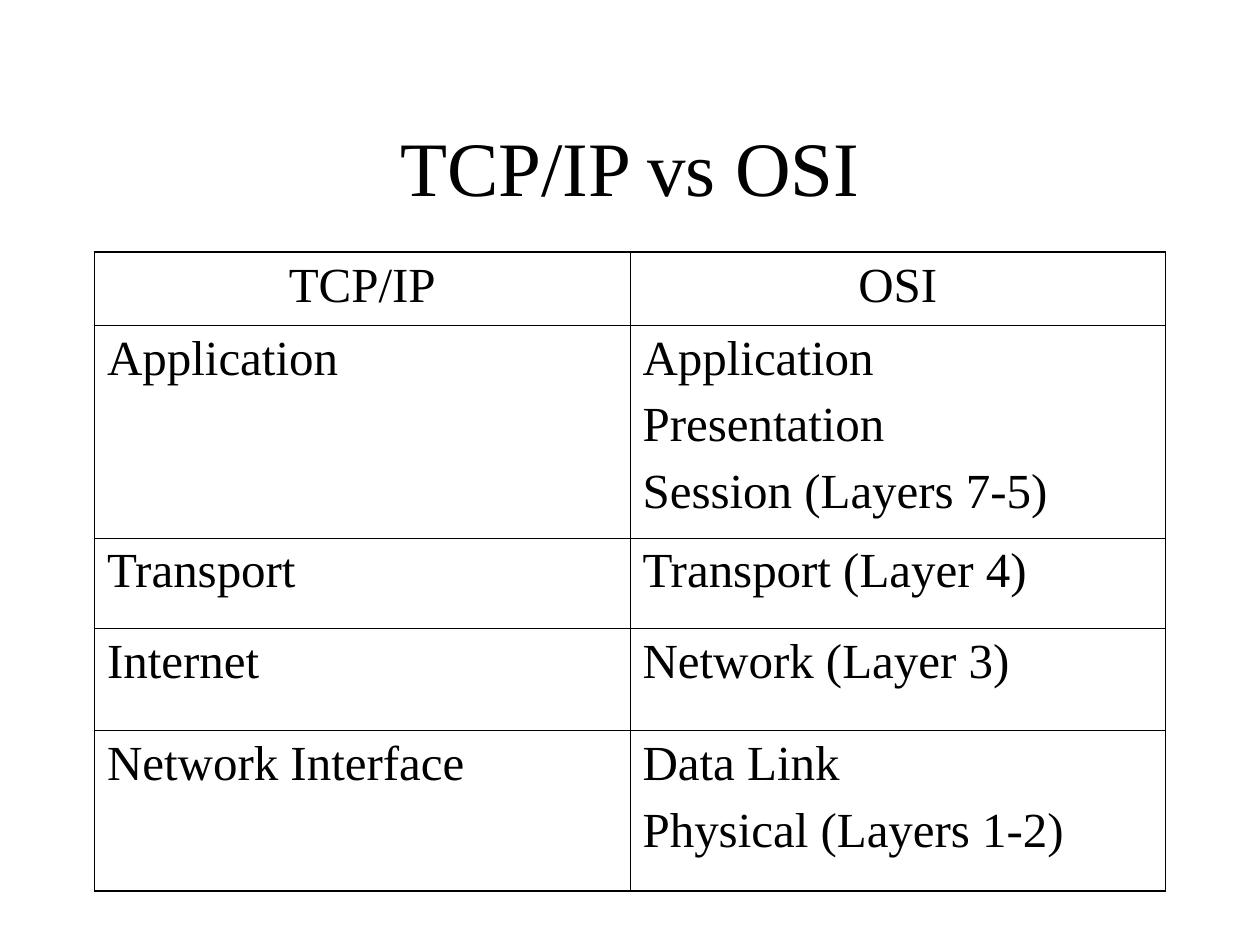
"""Build a slide that sets the TCP/IP layers beside the OSI layers."""
import dataclasses

import pptx
import pptx.dml.color
import pptx.enum.text
import pptx.oxml
import pptx.oxml.ns
import pptx.util

COLOURS = {"ink": "000000", "paper": "FFFFFF"}
SLIDE_WIDTH = pptx.util.Inches(10)
SLIDE_HEIGHT = pptx.util.Inches(7.5)
MARGIN = 0.075
TITLE_TOP, TITLE_HEIGHT = 0.09, 0.17
TABLE_TOP = 2 / 7.5
OUTER_LINE, INNER_LINE = pptx.util.Pt(1.08), pptx.util.Pt(0.45)
ALIGN = pptx.enum.text.PP_ALIGN
ANCHOR = pptx.enum.text.MSO_ANCHOR


@dataclasses.dataclass(frozen=True)
class LayerRow:
    height: float
    tcp_ip: str
    osi: str
    align: ALIGN = ALIGN.LEFT


ROWS = [
    LayerRow(0.58, "TCP/IP", "OSI", ALIGN.CENTER),
    LayerRow(1.69, "Application", "Application\nPresentation\nSession (Layers 7-5)"),
    LayerRow(0.72, "Transport", "Transport (Layer 4)"),
    LayerRow(0.81, "Internet", "Network (Layer 3)"),
    LayerRow(1.27, "Network Interface", "Data Link\nPhysical (Layers 1-2)"),
]


def write_text(frame, text: str, size: float, align: ALIGN, space: float = 0) -> None:
    frame.text = text
    for para in frame.paragraphs:
        for name, value in {"alignment": align, "space_before": pptx.util.Pt(space)}.items():
            setattr(para, name, value)
        for span in para.runs:
            font_format = {"name": "Times New Roman", "size": pptx.util.Pt(size)}
            for name, value in font_format.items():
                setattr(span.font, name, value)
            span.font.color.rgb = pptx.dml.color.RGBColor.from_string(COLOURS["ink"])


def draw_borders(cell, row: int, column: int) -> None:
    outer_sides = {"L": column == 0, "R": column == 1, "T": row == 0, "B": row == len(ROWS) - 1}
    for side, is_outer in outer_sides.items():
        width = OUTER_LINE if is_outer else INNER_LINE
        cell._tc.get_or_add_tcPr().append(pptx.oxml.parse_xml(
            f'<a:ln{side} {pptx.oxml.ns.nsdecls("a")} w="{int(width)}"><a:solidFill>'
            f'<a:srgbClr val="{COLOURS["ink"]}"/></a:solidFill></a:ln{side}>'))


def draw_title(page, text: str) -> None:
    title = page.shapes.title
    place = {
        "left": int(SLIDE_WIDTH * MARGIN),
        "top": int(SLIDE_HEIGHT * TITLE_TOP),
        "width": int(SLIDE_WIDTH * (1 - 2 * MARGIN)),
        "height": int(SLIDE_HEIGHT * TITLE_HEIGHT),
    }
    for name, value in place.items():
        setattr(title, name, value)
    title.text_frame.vertical_anchor = ANCHOR.MIDDLE
    write_text(title.text_frame, text, 44, ALIGN.CENTER)


def draw_table(page, rows: list[LayerRow]) -> None:
    height = pptx.util.Inches(sum(row.height for row in rows))
    table = page.shapes.add_table(
        len(rows), 2, int(SLIDE_WIDTH * MARGIN), int(SLIDE_HEIGHT * TABLE_TOP),
        int(SLIDE_WIDTH * (1 - 2 * MARGIN)), height).table
    for name in ("first_row", "horz_banding"):
        setattr(table, name, False)
    for row_index, row in enumerate(rows):
        table.rows[row_index].height = pptx.util.Inches(row.height)
        for column, text in enumerate((row.tcp_ip, row.osi)):
            cell = table.cell(row_index, column)
            write_text(cell.text_frame, text, 28, row.align, space=7)
            draw_borders(cell, row_index, column)
            cell.fill.background()


def main() -> None:
    deck = pptx.Presentation()
    deck.slide_width, deck.slide_height = SLIDE_WIDTH, SLIDE_HEIGHT
    page = deck.slides.add_slide(deck.slide_layouts.get_by_name("Title Only"))
    page.background.fill.solid()
    page.background.fill.fore_color.rgb = pptx.dml.color.RGBColor.from_string(COLOURS["paper"])
    draw_title(page, "TCP/IP vs OSI")
    draw_table(page, ROWS)
    deck.save("out.pptx")


if __name__ == "__main__":
    main()
